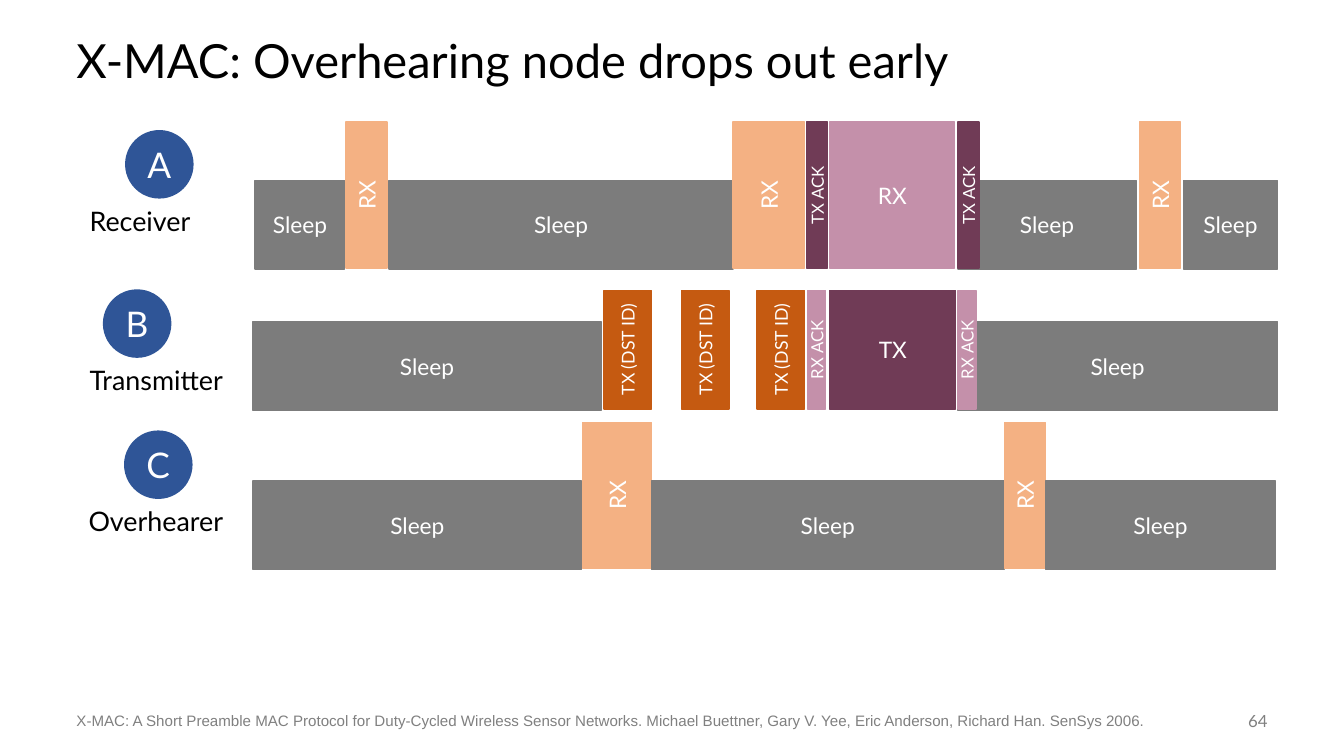
from dataclasses import dataclass

from pptx import Presentation
from pptx.dml.color import RGBColor
from pptx.enum import shapes, text
from pptx.util import Inches, Pt


@dataclass(frozen=True)
class Theme:
    """Colours, fonts and type sizes of the slide."""
    black: str = "000000"
    white: str = "FFFFFF"
    muted: str = "808080"
    node: str = "2F5597"
    sleep: str = "7C7C7C"
    listen: str = "F4B183"
    probe: str = "C55A11"
    send: str = "703B56"
    get: str = "C490AA"
    font: str = "Lato"
    plain: str = "Arial"
    title: float = 33.6
    letter: float = 25.2
    role: float = 19.2
    state: float = 16.2
    tag: float = 12.6
    small: float = 12
    cite: float = 10.8


THEME = Theme()
SLEEP_HIGH = 0.88

KINDS = {
    "sleep": ("Sleep", THEME.sleep, THEME.state, False),
    "listen": ("RX", THEME.listen, THEME.state, True),
    "probe": ("TX (DST ID)", THEME.probe, THEME.tag, True),
    "send": ("TX", THEME.send, THEME.state, False),
    "get": ("RX", THEME.get, THEME.state, False),
    "send ack": ("TX ACK", THEME.send, THEME.small, True),
    "get ack": ("RX ACK", THEME.get, THEME.small, True),
}

ROWS = [
    {"letter": "A", "role": "Receiver", "node": (1.24, 1.29), "label": (0.79, 1.98),
     "top": 1.21, "high": 1.45, "sleep": 1.79,
     "bars": [("listen", 3.43, 0.41), ("sleep", 2.53, 0.89), ("sleep", 3.86, 3.41),
              ("get", 8.23, 1.24), ("sleep", 9.5, 1.77), ("listen", 11.3, 0.41),
              ("sleep", 11.74, 0.93), ("listen", 7.27, 0.71),
              ("send ack", 8, 0.21), ("send ack", 9.5, 0.21)]},
    {"letter": "B", "role": "Transmitter", "node": (1.02, 2.87), "label": (0.79, 3.56),
     "top": 2.88, "high": 1.18, "sleep": 3.19,
     "bars": [("sleep", 2.51, 3.45), ("probe", 5.99, 0.47), ("probe", 6.76, 0.47),
              ("probe", 7.51, 0.47), ("send", 8.23, 1.25), ("sleep", 9.5, 3.17),
              ("get ack", 8.01, 0.18), ("get ack", 9.5, 0.18)]},
    {"letter": "C", "role": "Overhearer", "node": (1.23, 4.27), "label": (0.78, 4.96),
     "top": 4.19, "high": 1.45, "sleep": 4.77,
     "bars": [("listen", 5.78, 0.68), ("sleep", 2.51, 3.26), ("sleep", 6.46, 3.5),
              ("listen", 9.96, 0.41), ("sleep", 10.37, 2.28)]},
]


def write(shape, words, size, color, align, font=THEME.font):
    """Put one line of styled text in the middle of a shape."""
    frame = shape.text_frame
    frame.vertical_anchor = text.MSO_ANCHOR.MIDDLE
    para = frame.paragraphs[0]
    para.text = words
    para.alignment = align
    para.font.name = font
    para.font.size = Pt(size)
    para.font.color.rgb = RGBColor.from_string(color)
    return para


def add_text(slide, box, words, size, color=THEME.black,
             align=text.PP_ALIGN.LEFT, font=THEME.font):
    """Add a wrapping text box and return its paragraph."""
    shape = slide.shapes.add_textbox(*map(Inches, box))
    shape.text_frame.word_wrap = True
    return write(shape, words, size, color, align, font)


def add_block(slide, kind, box, words, size, fill):
    """Add a filled shape with centred white text."""
    shape = slide.shapes.add_shape(kind, *map(Inches, box))
    shape.shadow.inherit = False
    shape.fill.solid()
    shape.fill.fore_color.rgb = RGBColor.from_string(fill)
    shape.line.fill.background()
    frame = shape.text_frame
    frame.margin_left = frame.margin_right = 0
    frame.margin_top = frame.margin_bottom = 0
    write(shape, words, size, THEME.white, text.PP_ALIGN.CENTER)
    return shape


def add_bar(slide, row, kind, left, width):
    """Add one radio state to the timeline of a row."""
    words, fill, size, turned = KINDS[kind]
    top, high = row["top"], row["high"]
    if kind == "sleep":
        top, high = row["sleep"], SLEEP_HIGH
    bar = add_block(slide, shapes.MSO_SHAPE.RECTANGLE,
                    (left, top, width, high), words, size, fill)
    bar.line.color.rgb = RGBColor.from_string(fill)
    bar.line.width = Pt(1)
    if turned:
        bar.text_frame._txBody.bodyPr.set("vert", "vert270")


def add_row(slide, row):
    """Add a node with its role and timeline."""
    add_block(slide, shapes.MSO_SHAPE.OVAL, (*row["node"], 0.68, 0.68),
              row["letter"], THEME.letter, THEME.node)
    add_text(slide, (*row["label"], 1.73, 0.42), row["role"], THEME.role)
    for bar in row["bars"]:
        add_bar(slide, row, *bar)


def main():
    """Build the slide and save it."""
    deck = Presentation()
    deck.slide_width, deck.slide_height = Inches(13.33), Inches(7.5)
    slide = deck.slides.add_slide(deck.slide_layouts[6])
    title = add_text(slide, (0.66, 0.25, 12, 0.75),
                     "X-MAC: Overhearing node drops out early", THEME.title)
    title.line_spacing = 0.9
    for row in ROWS:
        add_row(slide, row)
    add_text(slide, (0.66, 7.01, 11.18, 0.28),
             "X-MAC: A Short Preamble MAC Protocol for Duty-Cycled Wireless Sensor "
             "Networks. Michael Buettner, Gary V. Yee, Eric Anderson, Richard Han. "
             "SenSys 2006.", THEME.cite, THEME.muted, font=THEME.plain)
    add_text(slide, (11.67, 6.95, 1, 0.4), "64", THEME.small, THEME.muted,
             text.PP_ALIGN.RIGHT)
    deck.save("out.pptx")


if __name__ == "__main__":
    main()
